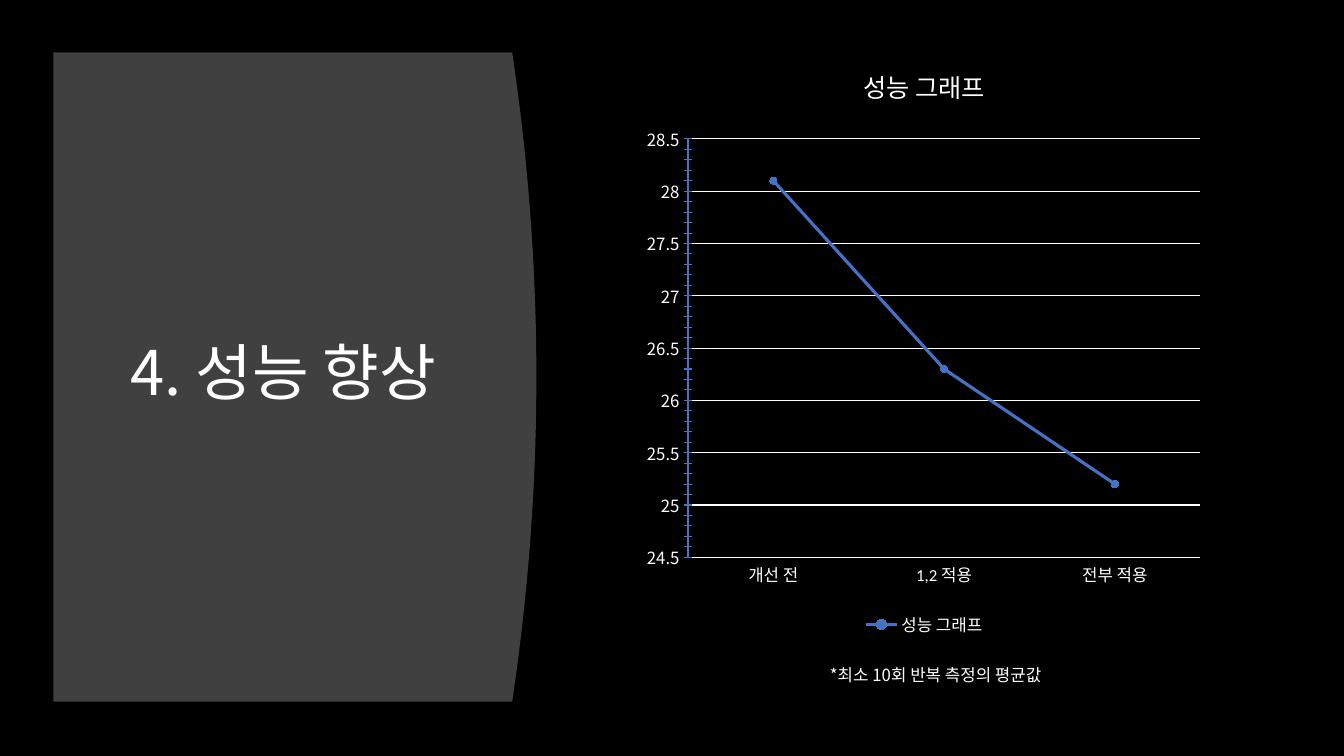
from lxml import etree
from pptx import Presentation
from pptx.chart.data import CategoryChartData
from pptx.dml.color import RGBColor
from pptx.enum.chart import (XL_CHART_TYPE, XL_LEGEND_POSITION, XL_MARKER_STYLE,
                             XL_TICK_MARK)
from pptx.enum.text import MSO_ANCHOR, PP_ALIGN
from pptx.oxml import parse_xml
from pptx.oxml.ns import nsdecls, qn
from pptx.util import Inches, Pt

HEADING = "4. 성능 향상"
FOOTNOTE = "*최소 10회 반복 측정의 평균값"
CHART_TITLE = "성능 그래프"
RESULTS = {"개선 전": 28.1, "1,2 적용": 26.3, "전부 적용": 25.2}

KOREAN, LATIN = "Noto Sans CJK KR", "Calibri"
BLACK, GRAY, WHITE, BLUE = "000000", "404040", "FFFFFF", "4472C4"

PANEL_LEFT, PANEL_TOP, PANEL_BOTTOM = 0.53, 0.52, 6.96
PANEL_CORNER, PANEL_BULGE, CURVE_STEPS = 5.08, 0.24, 48
PLOT_AREA = {"x": 0.09, "y": 0.16, "w": 0.89, "h": 0.7}  # shares of the chart


def color(hex_code):
    return RGBColor.from_string(hex_code)


def paint(fill, hex_code):
    fill.solid()
    fill.fore_color.rgb = color(hex_code)


def set_line(line, hex_code, width=0.75):
    paint(line.fill, hex_code)
    line.width = Pt(width)


def set_font(font, size, name):
    font.size, font.name, font.bold = Pt(size), name, False
    font.color.rgb = color(WHITE)
    east_asian = etree.SubElement(font._rPr, qn("a:ea"))
    east_asian.set("typeface", KOREAN)


def add_centered_text(slide, text, box, size, anchor):
    frame = slide.shapes.add_textbox(*map(Inches, box)).text_frame
    frame.word_wrap = True
    frame.vertical_anchor = anchor
    paragraph = frame.paragraphs[0]
    paragraph.text = text
    paragraph.alignment = PP_ALIGN.CENTER
    set_font(paragraph.font, size, KOREAN)
    return paragraph


def add_panel(slide):
    """Draw the gray panel whose right edge bulges as a parabola."""
    middle = (PANEL_TOP + PANEL_BOTTOM) / 2
    half = (PANEL_BOTTOM - PANEL_TOP) / 2
    edge = []
    for step in range(CURVE_STEPS + 1):
        t = 2 * step / CURVE_STEPS - 1
        edge.append((Inches(PANEL_CORNER + PANEL_BULGE * (1 - t * t)),
                     Inches(middle + half * t)))
    outline = slide.shapes.build_freeform(Inches(PANEL_LEFT), Inches(PANEL_TOP))
    outline.add_line_segments(edge + [(Inches(PANEL_LEFT), Inches(PANEL_BOTTOM))])
    panel = outline.convert_to_shape()
    panel.shadow.inherit = False
    paint(panel.fill, GRAY)
    panel.line.fill.background()


def fix_plot_area(chart):
    """Pin the inner plot area to PLOT_AREA."""
    plot_area = chart._chartSpace.chart.plotArea
    for old in plot_area.findall(qn("c:layout")):
        plot_area.remove(old)
    sizes = "".join(f'<c:{key} val="{share}"/>' for key, share in PLOT_AREA.items())
    plot_area.insert(0, parse_xml(
        f'<c:layout {nsdecls("c")}><c:manualLayout><c:layoutTarget val="inner"/>'
        f'<c:xMode val="edge"/><c:yMode val="edge"/>{sizes}'
        '</c:manualLayout></c:layout>'))


def add_results_chart(slide):
    data = CategoryChartData()
    data.categories = list(RESULTS)
    data.add_series(CHART_TITLE, list(RESULTS.values()))
    chart = slide.shapes.add_chart(
        XL_CHART_TYPE.LINE_MARKERS, *map(Inches, (6.31, 0.43, 5.71, 5.93)), data).chart
    set_font(chart.font, 10, LATIN)
    fix_plot_area(chart)

    chart.has_title = True
    title = chart.chart_title.text_frame.paragraphs[0]
    title.text = CHART_TITLE
    set_font(title.font, 18, KOREAN)
    chart.chart_title.include_in_layout = False

    chart.has_legend = True
    chart.legend.position = XL_LEGEND_POSITION.BOTTOM
    chart.legend.include_in_layout = False
    set_font(chart.legend.font, 12, LATIN)

    stages, scores = chart.category_axis, chart.value_axis
    for axis, font_name, line_color in ((stages, LATIN, WHITE), (scores, KOREAN, BLUE)):
        axis.major_tick_mark = axis.minor_tick_mark = XL_TICK_MARK.NONE
        set_font(axis.tick_labels.font, 12, font_name)
        set_line(axis.format.line, line_color)
    scores.minimum_scale, scores.maximum_scale = 24.5, 28.5
    scores.major_unit, scores.minor_unit = 0.5, 0.1
    scores.minor_tick_mark = XL_TICK_MARK.CROSS
    scores.has_major_gridlines = True
    set_line(scores.major_gridlines.format.line, WHITE)

    plot = chart.plots[0]
    plot.vary_by_categories = False
    trend = plot.series[0]
    trend.smooth = False
    set_line(trend.format.line, BLUE, 2.25)
    trend.marker.style, trend.marker.size = XL_MARKER_STYLE.CIRCLE, 5
    paint(trend.marker.format.fill, BLUE)
    set_line(trend.marker.format.line, BLUE)


def main():
    deck = Presentation()
    deck.slide_width, deck.slide_height = Inches(13.33), Inches(7.5)
    slide = deck.slides.add_slide(deck.slide_layouts[6])
    paint(slide.background.fill, BLACK)
    add_panel(slide)
    heading = add_centered_text(slide, HEADING, (0.94, 1.11, 3.74, 5.24), 44,
                                MSO_ANCHOR.MIDDLE)
    heading.line_spacing = 0.9
    add_results_chart(slide)
    add_centered_text(slide, FOOTNOTE, (6.54, 6.55, 5.48, 0.3), 12, MSO_ANCHOR.TOP)
    deck.save("out.pptx")


if __name__ == "__main__":
    main()
